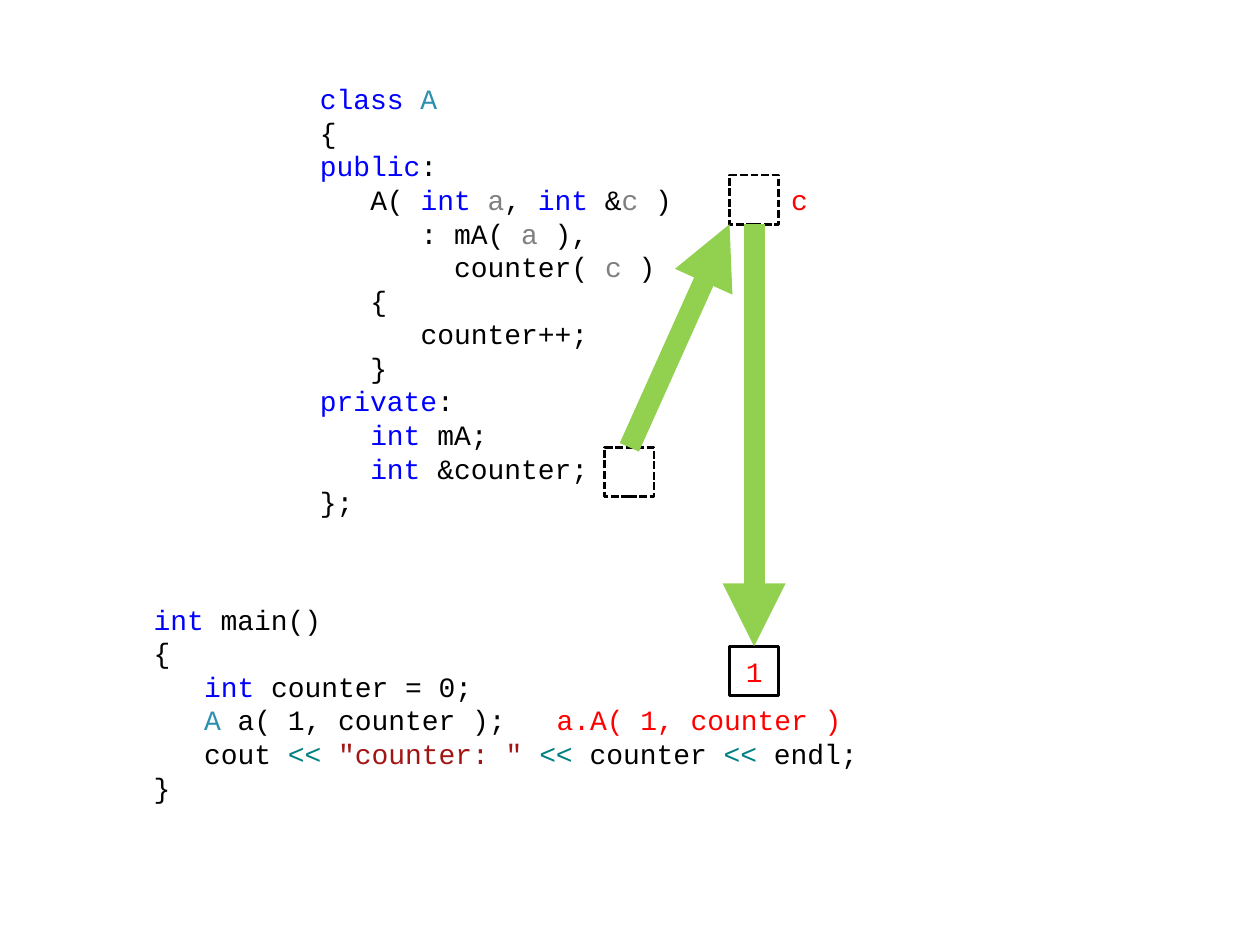
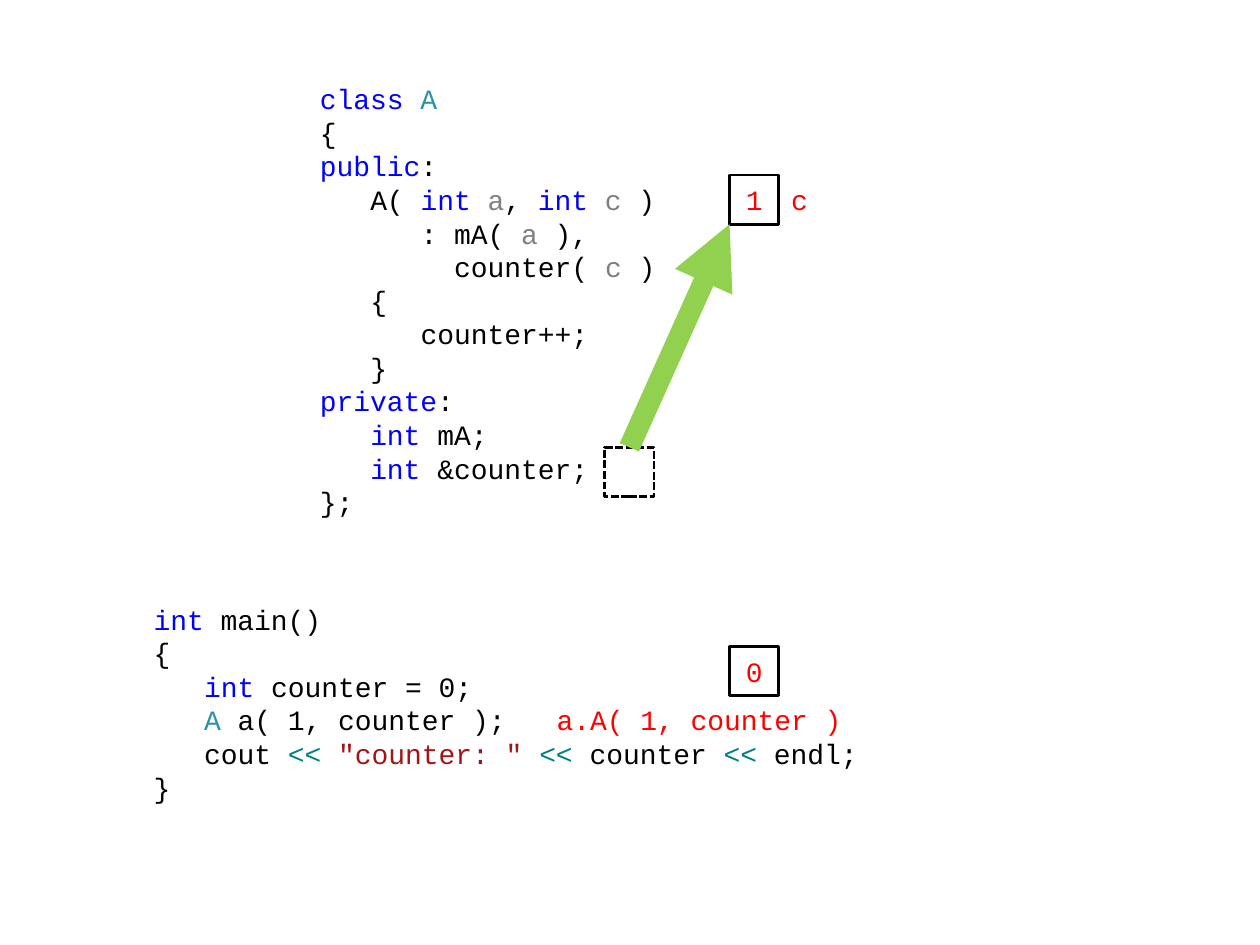
from dataclasses import dataclass, field

from pptx import Presentation
from pptx.dml.color import RGBColor as RGB
from pptx.enum.dml import MSO_LINE as Dash
from pptx.enum.shapes import MSO_CONNECTOR as Conn, MSO_SHAPE as Shape
from pptx.enum.text import MSO_ANCHOR as Anchor, PP_ALIGN as Align
from pptx.oxml.ns import qn
from pptx.oxml.xmlchemy import OxmlElement
from pptx.util import Inches, Pt


@dataclass(frozen=True)
class Theme:
    """Colours, type and line sizes, and the grid of the deck."""
    font: str = "Courier New"
    size: float = 16
    leading: float = 19.2
    char: float = 9.6
    columns: int = 100
    rows: int = 75
    box: float = 3.9
    outline: float = 1.5
    arrow: float = 12
    colors: dict = field(default_factory=lambda: {
        "plain": "000000", "paper": "FFFFFF", "keyword": "0000FF",
        "type": "2B91AF", "param": "808080", "operator": "008080",
        "string": "A31515", "trace": "FF0000", "arrow": "92D050"})
    syntax: dict = field(default_factory=lambda: {
        **dict.fromkeys(("class", "public", "private", "int"), "keyword"),
        **dict.fromkeys(("a", "c"), "param"),
        "A": "type", "<<": "operator", '"counter: "': "string"})


CLASS_CODE = (
    (0, "class |A"), (0, "{"), (0, "public|:"), (3, "{constructor}"),
    (6, ": mA( |a| ),"), (8, "counter( |c| )"), (3, "{"),
    (6, "counter++;"), (3, "}"), (0, "private|:"),
    (3, "int| mA;"), (3, "int| &counter;"), (0, "};"))
MAIN_CODE = (
    (0, "int| main()"), (0, "{"), (3, "int| counter = 0;"),
    (3, "A| a( 1, counter );"),
    (3, 'cout |<< |"counter: " |<<| counter |<<| endl;'), (0, "}"))


class Deck:
    """Draws styled elements on the current slide."""

    def __init__(self, theme):
        """Open an empty presentation in the theme."""
        self.theme = theme
        self.prs = Presentation()
        self.prs.slide_width, self.prs.slide_height = Inches(10), Inches(7.5)
        self.s = None

    def slide(self):
        """Start a blank slide."""
        self.s = self.prs.slides.add_slide(self.prs.slide_layouts[6])

    def color(self, name):
        """Look up a theme colour."""
        return RGB.from_string(self.theme.colors[name])

    def grid(self, *cells):
        """Turn alternating columns and rows into lengths."""
        t = self.theme
        units = self.prs.slide_width / t.columns, self.prs.slide_height / t.rows
        return [round(c * units[i % 2]) for i, c in enumerate(cells)]

    def frame(self, sp, **formats):
        """Set the text frame formats of a shape."""
        tf = sp.text_frame
        for name, value in {"word_wrap": True, **formats}.items():
            setattr(tf, name, value)
        return tf

    def run(self, p, text, color):
        """Add a coloured run to a paragraph."""
        r = p.add_run()
        r.text = text
        for name, value in {"name": self.theme.font, "size": Pt(self.theme.size)}.items():
            setattr(r.font, name, value)
        r.font.color.rgb = self.color(color)

    def code(self, area, lines, **formats):
        """Add a listing whose marked tokens are coloured by syntax."""
        t = self.theme
        tf = self.frame(self.s.shapes.add_textbox(*self.grid(*area)), **formats)
        for i, (indent, line) in enumerate(lines):
            p = tf.add_paragraph() if i else tf.paragraphs[0]
            p.line_spacing = Pt(t.leading)
            p._p.get_or_add_pPr().set("marL", str(Pt(indent * t.char)))
            for token in line.split("|"):
                self.run(p, token, t.syntax.get(token.strip(), "plain"))

    def label(self, area, text, **formats):
        """Add a red trace label."""
        tf = self.frame(self.s.shapes.add_textbox(*self.grid(*area)), **formats)
        self.run(tf.paragraphs[0], text, "trace")

    def cell(self, col, row, value=None):
        """Add a memory cell, dashed when it holds no value."""
        t = self.theme
        sp = self.s.shapes.add_shape(Shape.RECTANGLE, *self.grid(col, row, t.box, t.box))
        sp.shadow.inherit = False
        sp.fill.solid()
        sp.fill.fore_color.rgb = self.color("paper")
        sp.line.color.rgb = self.color("plain")
        sp.line.width = Pt(t.outline)
        if value is None:
            sp.line.dash_style = Dash.SQUARE_DOT
        else:
            p = self.frame(sp, vertical_anchor=Anchor.MIDDLE).paragraphs[0]
            p.alignment = Align.CENTER
            self.run(p, value, "trace")
        return sp

    def arrow(self, source, target, side=None):
        """Point from one cell to a side, or the lower left corner, of another."""
        corner = target.left, target.top + target.height
        cx = self.s.shapes.add_connector(Conn.STRAIGHT, source.left, source.top, *corner)
        cx.begin_connect(source, 0 if side is None else 2)
        if side is not None:
            cx.end_connect(target, side)
        cx.line.color.rgb = self.color("arrow")
        cx.line.width = Pt(self.theme.arrow)
        tail = OxmlElement("a:tailEnd")
        tail.set("type", "triangle")
        cx.line._get_or_add_ln().append(tail)
        cx._element.find(qn("p:spPr")).append(OxmlElement("a:effectLst"))


def counter_slide(deck, constructor, counter, argument=None):
    """Trace the counter through one form of the constructor."""
    deck.slide()
    lines = [(n, constructor if s == "{constructor}" else s) for n, s in CLASS_CODE]
    deck.code((24.4, 6, 31.5, 37.4), lines)
    deck.code((10.6, 47.3, 59.1, 17.7), MAIN_CODE, margin_left=Inches(0.16))
    deck.label((43.2, 55.3, 26.5, 3.7), "a.A( 1, counter )")
    variable = deck.cell(57.9, 51.3, counter)
    member = deck.cell(48, 35.5)
    parameter = deck.cell(57.9, 13.9, argument)
    deck.label((61.8, 13.9, 3.9, 3.9), "c", vertical_anchor=Anchor.MIDDLE)
    deck.arrow(member, parameter)
    if argument is None:
        deck.arrow(parameter, variable, 0)


def main():
    """Build both slides and save them."""
    deck = Deck(Theme())
    counter_slide(deck, "A( |int |a|, |int| &|c| )", "1")
    counter_slide(deck, "A( |int |a|, |int |c |)", "0", "1")
    deck.prs.save("out.pptx")


if __name__ == "__main__":
    main()
